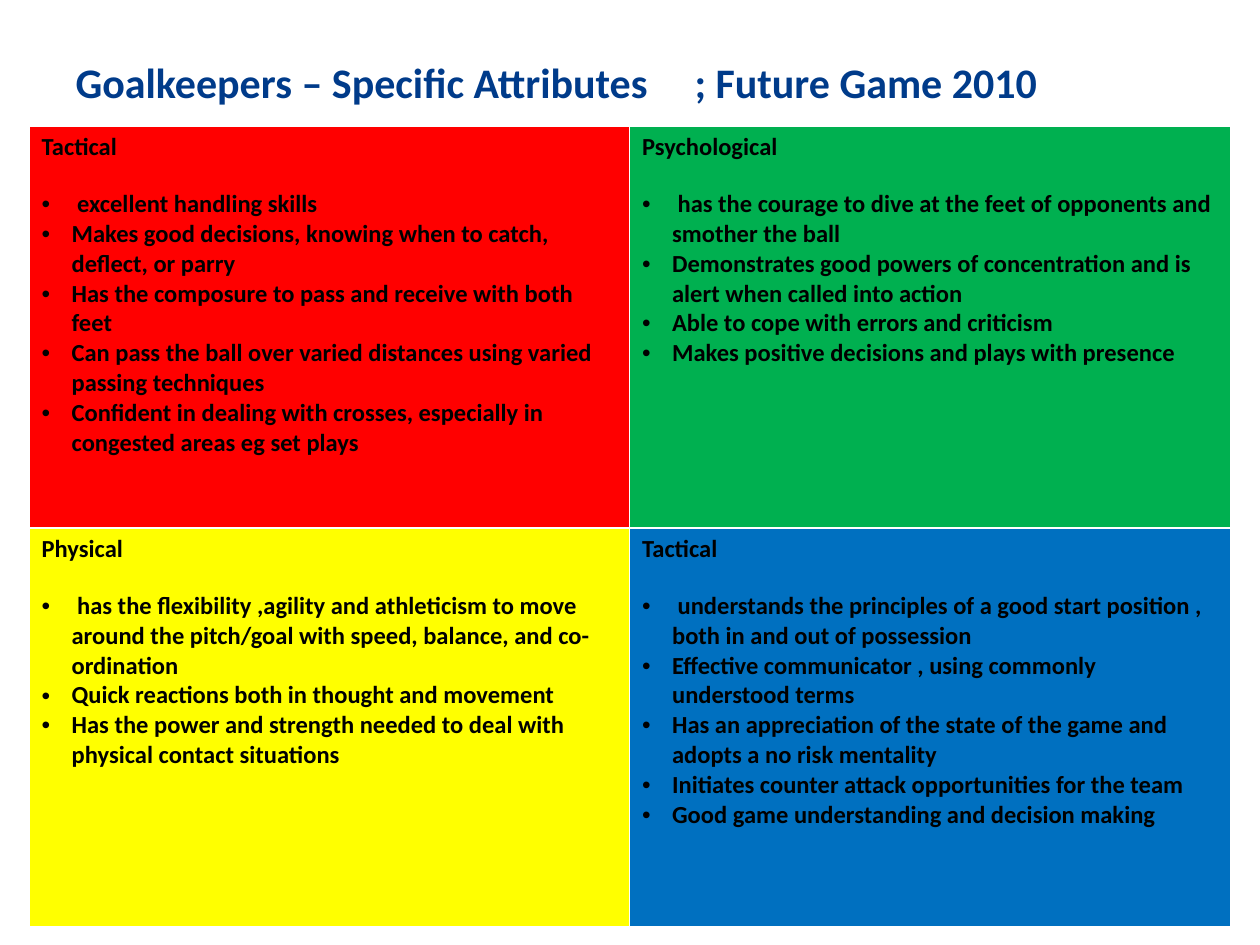
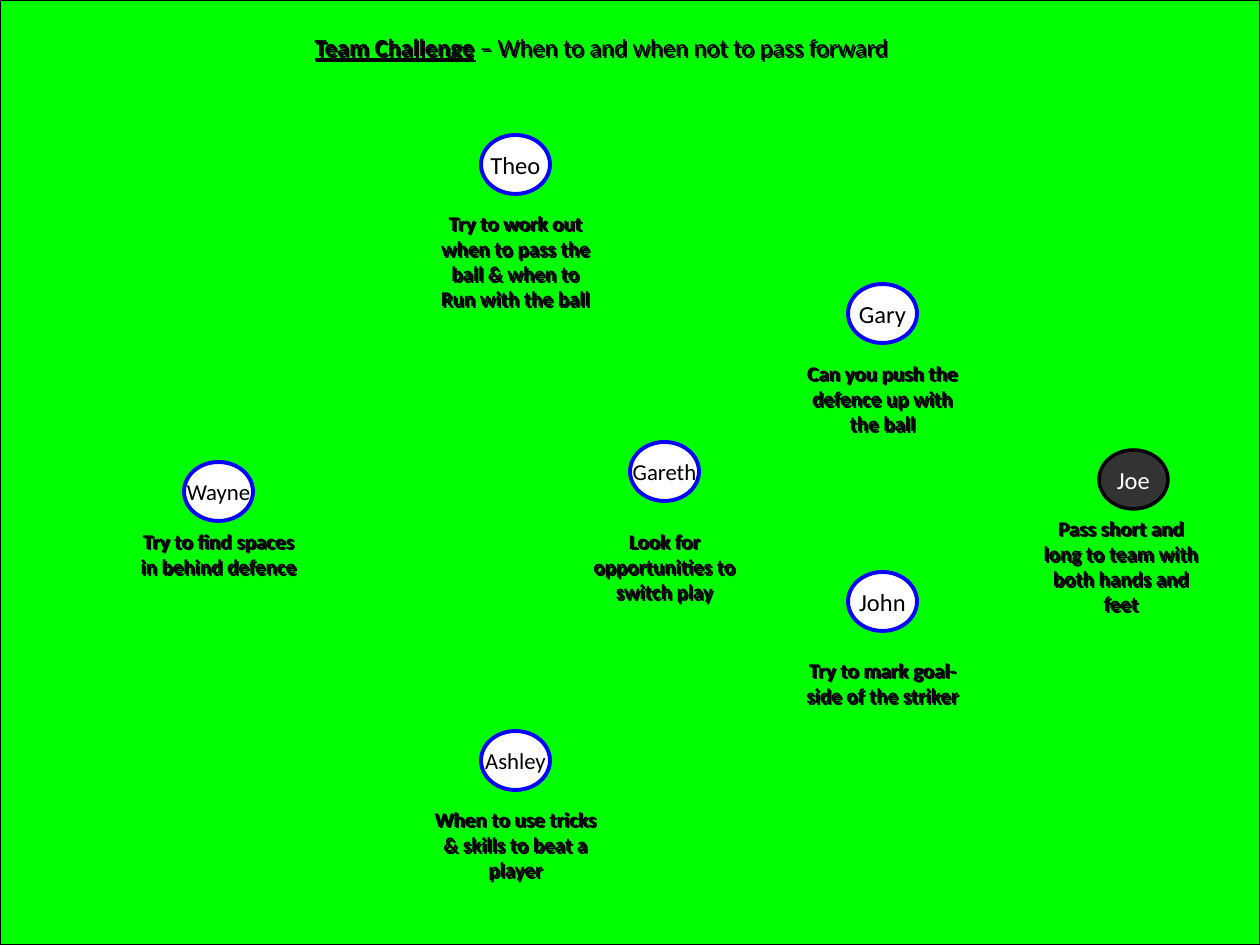
from lxml.etree import SubElement
from pptx import Presentation
from pptx.dml.color import RGBColor
from pptx.enum.shapes import MSO_SHAPE
from pptx.enum.text import MSO_ANCHOR, MSO_AUTO_SIZE, PP_ALIGN
from pptx.oxml.ns import qn
from pptx.util import Emu, Pt

EMU_PER_PX = 914400 / 126
SLIDE_W, SLIDE_H = 1260, 945
FONT = "Calibri"
COLORS = {
    "title": "003B8A",
    "black": "000000",
    "white": "FFFFFF",
    "red": "FF0000",
    "green": "00B050",
    "yellow": "FFFF00",
    "blue": "0070C0",
    "pitch": "00FF00",
    "outfield": "0000FF",
    "keeper": "333333",
}

BULLET_INDENT = 30
PLAYER_W, PLAYER_H = 69, 59
NOTE_W, NOTE_LINE_H = 189, 25

ATTRIBUTES = [
    [
        ("Tactical", "red", [
            " excellent handling skills",
            "Makes good decisions, knowing when to catch, deflect, or parry",
            "Has the composure to pass and receive with both feet",
            "Can pass the ball over varied distances using varied passing techniques",
            "Confident in dealing with crosses, especially in congested areas eg set plays",
        ]),
        ("Psychological", "green", [
            " has the courage to dive at the feet of opponents and smother the ball",
            "Demonstrates good powers of concentration and is alert when called into action",
            "Able to cope with errors and criticism",
            "Makes positive decisions and plays with presence",
        ]),
    ],
    [
        ("Physical", "yellow", [
            " has the flexibility ,agility and athleticism to move around the pitch/goal "
            "with speed, balance, and co-ordination",
            "Quick reactions both in thought and movement",
            "Has the power and strength needed to deal with physical contact situations",
        ]),
        ("Tactical", "blue", [
            " understands the principles of a good start position , both in and out of possession",
            "Effective communicator , using commonly understood terms",
            "Has an appreciation of the state of the game and adopts a no risk mentality",
            "Initiates counter attack opportunities for the team",
            "Good game understanding and decision making",
        ]),
    ],
]

OUTFIELD = [
    ("Gary", 848, 284, "Can you push the defence up with the ball", 354, 3),
    ("John", 848, 572, "Try to mark goal-side of the striker", 651, 2),
    ("Gareth", 630, 442, "Look for opportunities to switch play", 522, 3),
    ("Theo", 481, 135, "Try to work out when to pass the ball & when to Run with the ball", 204, 4),
    ("Ashley", 481, 731, "When to use tricks & skills to beat a player", 800, 3),
    ("Wayne", 184, 462, "Try to find spaces in behind defence", 522, 2),
]


def px(n):
    return Emu(round(n * EMU_PER_PX))


def box(*lengths):
    return [px(n) for n in lengths]


def rgb(name):
    return RGBColor.from_string(COLORS[name])


def format_run(r, size, color="black", bold=False, underline=False):
    r.font.name = FONT
    r.font.size = Pt(size)
    r.font.color.rgb = rgb(color)
    r.font.bold = bold
    r.font.underline = underline


def add_title(s, left, top, width, height, text, anchor):
    sp = s.shapes.title
    sp.left, sp.top, sp.width, sp.height = box(left, top, width, height)
    tf = sp.text_frame
    tf.text = text
    tf.auto_size = MSO_AUTO_SIZE.NONE
    tf.vertical_anchor = anchor
    p = tf.paragraphs[0]
    p.alignment = PP_ALIGN.LEFT
    return sp


def add_tab_stop(p, position):
    tabs = SubElement(p._p.get_or_add_pPr(), qn("a:tabLst"))
    SubElement(tabs, qn("a:tab"), pos=str(px(position)), algn="l")


def add_bullet(p):
    pPr = p._p.get_or_add_pPr()
    pPr.set("marL", str(px(BULLET_INDENT)))
    pPr.set("indent", str(-px(BULLET_INDENT)))
    color = SubElement(pPr, qn("a:buClr"))
    SubElement(color, qn("a:srgbClr"), val=COLORS["black"])
    SubElement(pPr, qn("a:buFont"), typeface="Arial")
    SubElement(pPr, qn("a:buChar"), char="•")


def set_borders(cell, widths):
    tcPr = cell._tc.get_or_add_tcPr()
    for side, width in widths.items():
        ln = SubElement(tcPr, qn(f"a:ln{side}"), w=str(Pt(width)))
        fill = SubElement(ln, qn("a:solidFill"))
        SubElement(fill, qn("a:srgbClr"), val=COLORS["white"])


def add_shadow(sp):
    effects = SubElement(sp.element.spPr, qn("a:effectLst"))
    shadow = SubElement(effects, qn("a:outerShdw"), dist=str(Pt(1.4)), dir="2700000", algn="ctr", rotWithShape="0")
    SubElement(shadow, qn("a:srgbClr"), val=COLORS["black"])


def fill_cell(cell, heading, color, points):
    tf = cell.text_frame
    tf.text = "\n".join([heading] + points)
    for i, p in enumerate(tf.paragraphs):
        if i == 1:
            p.space_before = Pt(15.5)
        if i:
            add_bullet(p)
        format_run(p.runs[0], 14, bold=True)
    cell.margin_left = cell.margin_right = px(12.6)
    cell.margin_top = cell.margin_bottom = px(6.3)


def add_attribute_table(s):
    heights = (402, 398)
    table = s.shapes.add_table(2, 2, *box(29, 126, 1201, sum(heights))).table
    table.first_row = table.horz_banding = False
    for row, height in zip(table.rows, heights):
        row.height = px(height)
    for i, quadrants in enumerate(ATTRIBUTES):
        for j, (heading, color, points) in enumerate(quadrants):
            cell = table.cell(i, j)
            fill_cell(cell, heading, color, points)
            middle = "B" if i == 0 else "T"
            set_borders(cell, {side: 1.47 if side == middle else 0.45 for side in "LRTB"})
            cell.fill.solid()
            cell.fill.fore_color.rgb = rgb(color)


def add_filled_shape(s, kind, left, top, width, height, fill, line, weight):
    sp = s.shapes.add_shape(kind, *box(left, top, width, height))
    sp.shadow.inherit = False
    sp.fill.solid()
    sp.fill.fore_color.rgb = rgb(fill)
    sp.line.color.rgb = rgb(line)
    sp.line.width = Pt(weight)
    return sp


def add_player(s, name, left, top, fill="white", line="outfield", weight=2.25, color="black"):
    sp = add_filled_shape(s, MSO_SHAPE.OVAL, left, top, PLAYER_W, PLAYER_H, fill, line, weight)
    tf = sp.text_frame
    tf.text = name
    tf.word_wrap = False
    tf.vertical_anchor = MSO_ANCHOR.MIDDLE
    p = tf.paragraphs[0]
    p.alignment = PP_ALIGN.CENTER
    format_run(p.runs[0], 13 if len(name) > 4 else 14, color)


def add_note(s, center, top, text, lines):
    sp = s.shapes.add_textbox(*box(center - NOTE_W / 2, top, NOTE_W, 13 + lines * NOTE_LINE_H))
    tf = sp.text_frame
    tf.text = text
    tf.word_wrap = True
    tf.auto_size = MSO_AUTO_SIZE.SHAPE_TO_FIT_TEXT
    p = tf.paragraphs[0]
    p.alignment = PP_ALIGN.CENTER
    p.space_before = Pt(7.5)
    format_run(p.runs[0], 12, bold=True)
    add_shadow(sp)


def build_attributes(s):
    title = "Goalkeepers – Specific Attributes\t; Future Game 2010"
    sp = add_title(s, 63, 38, 1134, 87, title, MSO_ANCHOR.MIDDLE)
    p = sp.text_frame.paragraphs[0]
    add_tab_stop(p, 619)
    format_run(p.runs[0], 24, "title", bold=True)
    add_attribute_table(s)


def build_challenge(s):
    add_filled_shape(s, MSO_SHAPE.RECTANGLE, 0, 0, SLIDE_W, SLIDE_H, "pitch", "black", 0.75)
    add_player(s, "Joe", 1099, 450, "keeper", "black", 2, "white")
    add_note(s, 1121, 509, "Pass short and long to team with both hands and feet", 4)
    for name, left, top, note, note_top, lines in OUTFIELD:
        add_player(s, name, left, top)
        add_note(s, left + PLAYER_W / 2, note_top, note, lines)

    sp = add_title(s, 302, 26, 645, 43, "Team Challenge", MSO_ANCHOR.TOP)
    p = sp.text_frame.paragraphs[0]
    p.space_before = Pt(8.8)
    format_run(p.runs[0], 14, bold=True, underline=True)
    r = p.add_run()
    r.text = " – When to and when not to pass forward"
    format_run(r, 14)
    add_shadow(sp)
    sp.element.getparent().append(sp.element)


def main():
    prs = Presentation()
    prs.slide_width, prs.slide_height = box(SLIDE_W, SLIDE_H)
    title_only = prs.slide_layouts[5]
    for build in (build_attributes, build_challenge):
        build(prs.slides.add_slide(title_only))
    prs.save("out.pptx")


if __name__ == "__main__":
    main()
